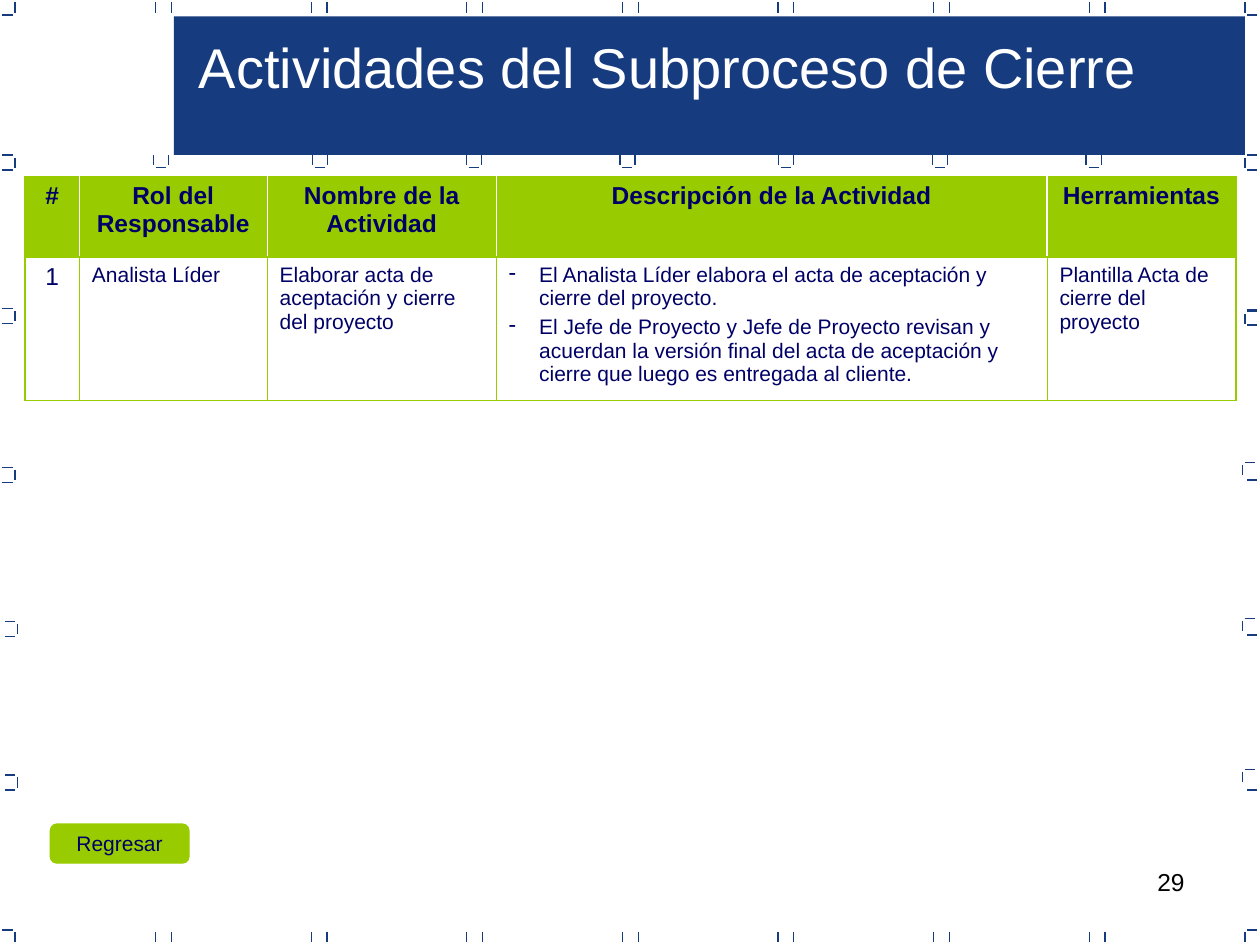
from dataclasses import dataclass

from lxml import etree
from pptx import Presentation
from pptx.dml.color import RGBColor
from pptx.enum.shapes import MSO_CONNECTOR, MSO_SHAPE
from pptx.enum.text import MSO_ANCHOR, PP_ALIGN
from pptx.oxml.ns import qn
from pptx.util import Inches, Pt

STRAIGHT = MSO_CONNECTOR.STRAIGHT
RECTANGLE = MSO_SHAPE.RECTANGLE
BUTTON = MSO_SHAPE.FLOWCHART_ALTERNATE_PROCESS
LEFT, CENTER, RIGHT = PP_ALIGN.LEFT, PP_ALIGN.CENTER, PP_ALIGN.RIGHT
TOP, MIDDLE = MSO_ANCHOR.TOP, MSO_ANCHOR.MIDDLE

SLIDE_WIDTH, SLIDE_HEIGHT = Inches(10), Inches(7.5)
GRID_COLUMNS, GRID_ROWS = 1000, 750

HEADERS = ["#", "Rol del Responsable", "Nombre de la Actividad",
           "Descripción de la Actividad", "Herramientas"]
ACTIVITY = [
    ["1"],
    ["Analista Líder"],
    ["Elaborar acta de aceptación y cierre del proyecto"],
    ["El Analista Líder elabora el acta de aceptación y cierre del proyecto.",
     "El Jefe de Proyecto y Jefe de Proyecto revisan y acuerdan la versión final "
     "del acta de aceptación y cierre que luego es entregada al cliente."],
    ["Plantilla Acta de cierre del proyecto"],
]
COLUMN_WIDTHS = [43, 149, 182, 437, 150]
ROW_HEIGHTS = [64, 114]


@dataclass(frozen=True)
class Theme:
    font: str = "Arial"
    blue: str = "163B7F"
    green: str = "99CC00"
    navy: str = "000066"
    white: str = "FFFFFF"
    black: str = "000000"
    title: int = 32
    heading: int = 14
    body: int = 12
    thin: float = 0.45
    line: float = 0.75
    frame: float = 1.08


class SlideBuilder:
    def __init__(self, theme, slide):
        self.theme = theme
        self.slide = slide

    def x(self, columns):
        return round(SLIDE_WIDTH * columns / GRID_COLUMNS)

    def y(self, rows):
        return round(SLIDE_HEIGHT * rows / GRID_ROWS)

    def place(self, left, top, width, height):
        return self.x(left), self.y(top), self.x(width), self.y(height)

    def paragraphs(self, frame, texts, size, color, align=LEFT, bold=False, bullet=None):
        for index, text in enumerate(texts):
            para = frame.add_paragraph() if index else frame.paragraphs[0]
            para.alignment = align
            if index:
                para.space_before = Pt(3)
            if bullet:
                properties = para._p.get_or_add_pPr()
                properties.set("marL", str(self.x(24)))
                properties.set("indent", str(-self.x(24)))
                etree.SubElement(properties, qn("a:buChar"), char=bullet)
            span = para.add_run()
            span.text = text
            span.font.name = self.theme.font
            span.font.size = Pt(size)
            span.font.bold = bold
            span.font.color.rgb = RGBColor.from_string(color)

    def text(self, area, text, size, color, align=LEFT):
        box = self.slide.shapes.add_textbox(*self.place(*area))
        box.text_frame.word_wrap = True
        box.text_frame.vertical_anchor = TOP
        self.paragraphs(box.text_frame, [text], size, color, align)

    def shape(self, kind, area, fill, outlined=False):
        shape = self.slide.shapes.add_shape(kind, *self.place(*area))
        shape.shadow.inherit = False
        shape.fill.solid()
        shape.fill.fore_color.rgb = RGBColor.from_string(fill)
        if outlined:
            shape.line.color.rgb = RGBColor.from_string(fill)
            shape.line.width = Pt(self.theme.line)
        else:
            shape.line.fill.background()
        return shape

    def button(self, area, text):
        frame = self.shape(BUTTON, area, self.theme.green, outlined=True).text_frame
        frame.word_wrap = False
        frame.vertical_anchor = MIDDLE
        self.paragraphs(frame, [text], self.theme.body, self.theme.navy, CENTER)

    def tick(self, left, top, across=0, down=0):
        line = self.slide.shapes.add_connector(
            STRAIGHT, self.x(left), self.y(top), self.x(left + across), self.y(top + down))
        line.line.color.rgb = RGBColor.from_string(self.theme.blue)
        line.line.width = Pt(self.theme.line)
        etree.SubElement(line._element.spPr, qn("a:effectLst"))

    def horizontal(self, left, top):
        self.tick(left, top, across=8)

    def vertical(self, left, top):
        self.tick(left, top, down=8)

    def border(self, cell, side, color, width):
        line = etree.SubElement(cell._tc.get_or_add_tcPr(), qn(f"a:ln{side}"), w=str(Pt(width)))
        fill = etree.SubElement(line, qn("a:solidFill"))
        etree.SubElement(fill, qn("a:srgbClr"), val=color)

    def cell(self, table, row, column, texts):
        theme = self.theme
        cell = table.cell(row, column)
        header = row == 0
        inner = (theme.white, theme.line) if header else (theme.green, theme.thin)
        outer = (theme.green, theme.frame)
        level = (theme.green, theme.line)
        last = len(table.columns) - 1
        self.border(cell, "L", *(outer if column == 0 else inner))
        self.border(cell, "R", *(outer if column == last else inner))
        self.border(cell, "T", *(outer if header else level))
        self.border(cell, "B", *level)
        if header:
            cell.fill.solid()
            cell.fill.fore_color.rgb = RGBColor.from_string(theme.green)
        else:
            cell.fill.background()
        centered = header or column == 0
        self.paragraphs(cell.text_frame, texts, theme.heading if centered else theme.body,
                        theme.navy, CENTER if centered else LEFT, header,
                        "-" if len(texts) > 1 else None)

    def table(self, left, top, widths, heights, rows):
        area = self.place(left, top, sum(widths), sum(heights))
        table = self.slide.shapes.add_table(len(rows), len(widths), *area).table
        table.first_row = table.horz_banding = False
        for column, width in zip(table.columns, widths):
            column.width = self.x(width)
        for row, height in zip(table.rows, heights):
            row.height = self.y(height)
        for row, contents in enumerate(rows):
            for column, texts in enumerate(contents):
                self.cell(table, row, column, texts)

    def edge_marks(self):
        pairs = [123.5 * step + offset for step in range(1, 8) for offset in (0, 12.5)]
        for left in [12, *pairs, 988]:
            for top in (2, 740):
                self.vertical(left, top)
        for left in (2, 990):
            for top in (12, 738):
                self.horizontal(left, top)

    def left_marks(self):
        for left, top in [(2, 123), (2, 245), (2, 371), (4, 493), (4, 615)]:
            self.horizontal(left, top)
            self.vertical(left + 10, top + 2)
            self.horizontal(left, top + 12)

    def right_marks(self):
        for step, (left, top) in enumerate(
                [(988, 123), (988, 247), (986, 367), (986, 491), (986, 611)], 1):
            self.horizontal(left + 2, top)
            self.vertical(left, top + 2)
            self.horizontal(990, 12 + 123 * step)
        self.horizontal(990, 246)

    def title_marks(self):
        for left in (122, 248, 370, 492, 618, 740, 862):
            self.vertical(left, 123)
            self.vertical(left + 12, 123)
            self.horizontal(left + 2, 133)


def main():
    deck = Presentation()
    deck.slide_width, deck.slide_height = SLIDE_WIDTH, SLIDE_HEIGHT
    theme = Theme()
    page = SlideBuilder(theme, deck.slides.add_slide(deck.slide_layouts[6]))
    page.text((717, 683, 233, 52), "29", theme.heading, theme.black, RIGHT)
    page.edge_marks()
    page.right_marks()
    page.shape(RECTANGLE, (138, 13, 850, 110), theme.blue)
    page.left_marks()
    page.title_marks()
    page.table(20, 140, COLUMN_WIDTHS, ROW_HEIGHTS, [[[name] for name in HEADERS], ACTIVITY])
    page.button((40, 654, 110, 31), "Regresar")
    page.text((148, 21, 832, 64), "Actividades del Subproceso de Cierre",
              theme.title, theme.white)
    deck.save("out.pptx")


if __name__ == "__main__":
    main()
